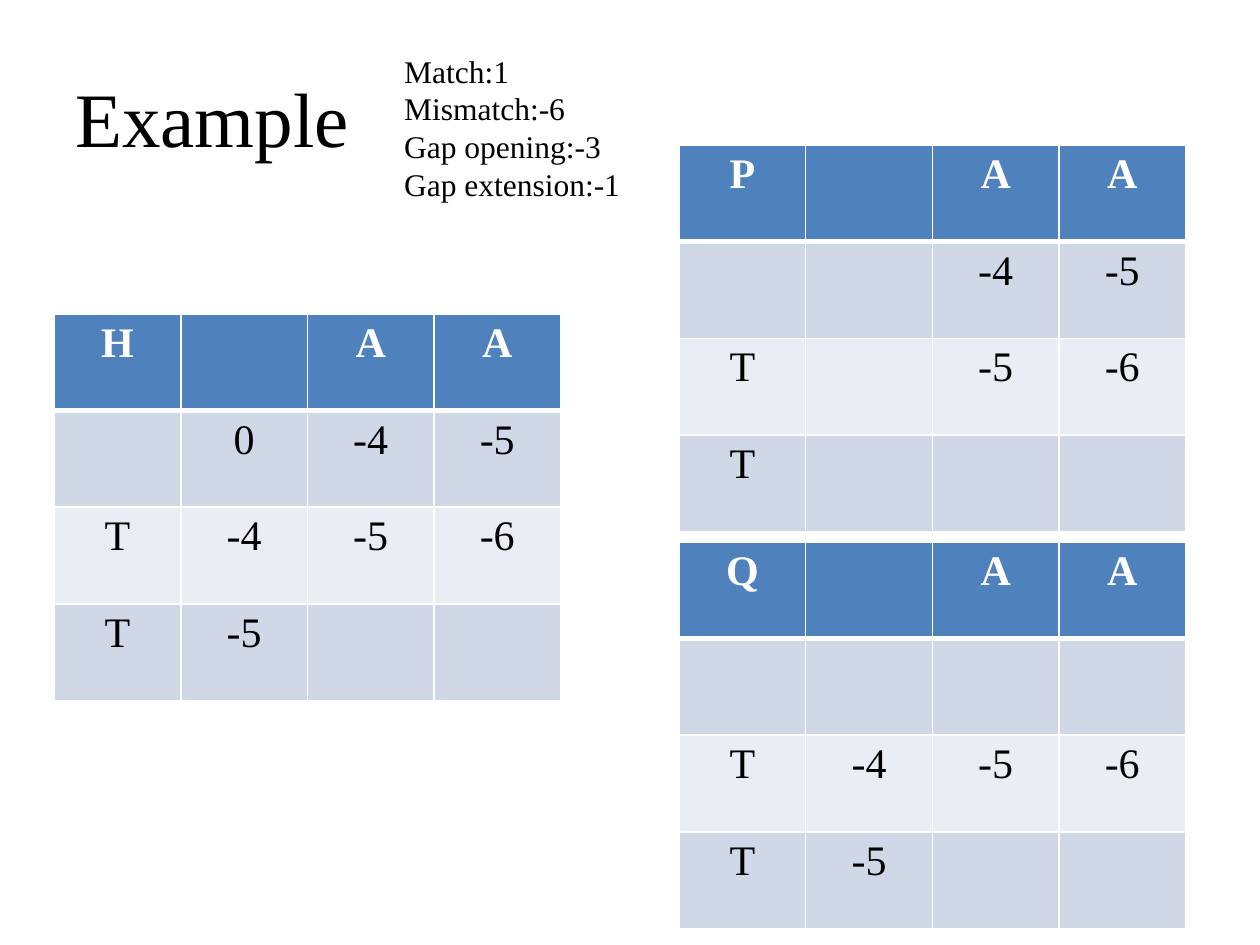
from dataclasses import dataclass

import pptx
import pptx.dml.color
import pptx.enum.text
import pptx.oxml
import pptx.oxml.ns
import pptx.util

Inches = pptx.util.Inches
Pt = pptx.util.Pt
ALIGN = pptx.enum.text.PP_ALIGN
ANCHOR = pptx.enum.text.MSO_ANCHOR


@dataclass(frozen=True)
class Theme:
    font: str = "Times New Roman"
    text: str = "000000"
    header_text: str = "FFFFFF"
    header_fill: str = "4F81BD"
    bands: tuple = ("D0D8E8", "E9EDF4")
    border: str = "FFFFFF"
    title_size: int = 44
    note_size: int = 18
    cell_size: int = 24
    thin: int = 1
    thick: int = 3


THEME = Theme()
COLUMN_WIDTH = 4.02 / 4
ROW_HEIGHT = 3.07 / 4
RIGHT_COLUMN = 5.39

SCORING = ["Match:1", "Mismatch:-6", "Gap opening:-3", "Gap extension:-1"]
HEADINGS = ["", "A", "A"]
MATRICES = [
    ("H", 0.43, 2.49, [["", "0", "-4", "-5"],
                       ["T", "-4", "-5", "-6"],
                       ["T", "-5", "", ""]]),
    ("P", RIGHT_COLUMN, 1.15, [["", "", "-4", "-5"],
                               ["T", "", "-5", "-6"],
                               ["T", "", "", ""]]),
    ("Q", RIGHT_COLUMN, 4.3, [["", "", "", ""],
                              ["T", "-4", "-5", "-6"],
                              ["T", "-5", "", ""]]),
]


def rgb(color):
    return pptx.dml.color.RGBColor.from_string(color)


def write(tf, lines, size, color=THEME.text, bold=False, align=ALIGN.LEFT):
    """Fill a text frame with one formatted paragraph per line."""
    for i, line in enumerate(lines):
        p = tf.add_paragraph() if i else tf.paragraphs[0]
        p.alignment = align
        p.font.size = Pt(size)
        r = p.add_run()
        r.text = line
        r.font.name = THEME.font
        r.font.size = Pt(size)
        r.font.bold = bold
        r.font.color.rgb = rgb(color)


def add_text(slide, box, lines, size, wrap=True, anchor=ANCHOR.TOP):
    tf = slide.shapes.add_textbox(*map(Inches, box)).text_frame
    tf.word_wrap = wrap
    tf.vertical_anchor = anchor
    write(tf, lines, size)


def set_border(cell, side, width):
    tc_pr = cell._tc.get_or_add_tcPr()
    tc_pr.append(pptx.oxml.parse_xml(
        f'<a:ln{side} {pptx.oxml.ns.nsdecls("a")} w="{Pt(width)}">'
        f'<a:solidFill><a:srgbClr val="{THEME.border}"/></a:solidFill>'
        f'</a:ln{side}>'))


def format_cell(cell, row, text):
    header = row == 0
    # Borders come before the fill in the cell properties.
    for side in "LRTB":
        under_header = (row, side) in ((0, "B"), (1, "T"))
        set_border(cell, side, THEME.thick if under_header else THEME.thin)
    cell.fill.solid()
    fill = THEME.header_fill if header else THEME.bands[(row - 1) % 2]
    cell.fill.fore_color.rgb = rgb(fill)
    if text:
        write(cell.text_frame, [text], THEME.cell_size, bold=header,
              color=THEME.header_text if header else THEME.text,
              align=ALIGN.CENTER)


def add_matrix(slide, name, left, top, body):
    rows = [[name] + HEADINGS] + body
    n_rows, n_cols = len(rows), len(rows[0])
    table = slide.shapes.add_table(
        n_rows, n_cols, Inches(left), Inches(top),
        Inches(n_cols * COLUMN_WIDTH), Inches(n_rows * ROW_HEIGHT)).table
    for column in table.columns:
        column.width = Inches(COLUMN_WIDTH)
    for i, values in enumerate(rows):
        table.rows[i].height = Inches(ROW_HEIGHT)
        for j, text in enumerate(values):
            format_cell(table.cell(i, j), i, text)


def main():
    prs = pptx.Presentation()
    prs.slide_width, prs.slide_height = Inches(10), Inches(7.5)
    slide = prs.slides.add_slide(prs.slide_layouts[6])
    add_text(slide, (0.5, 0.3, 9, 1.25), ["Example"], THEME.title_size,
             anchor=ANCHOR.MIDDLE)
    add_text(slide, (3.11, 0.36, 1.93, 1.31), SCORING, THEME.note_size,
             wrap=False)
    for matrix in MATRICES:
        add_matrix(slide, *matrix)
    prs.save("out.pptx")


if __name__ == "__main__":
    main()
